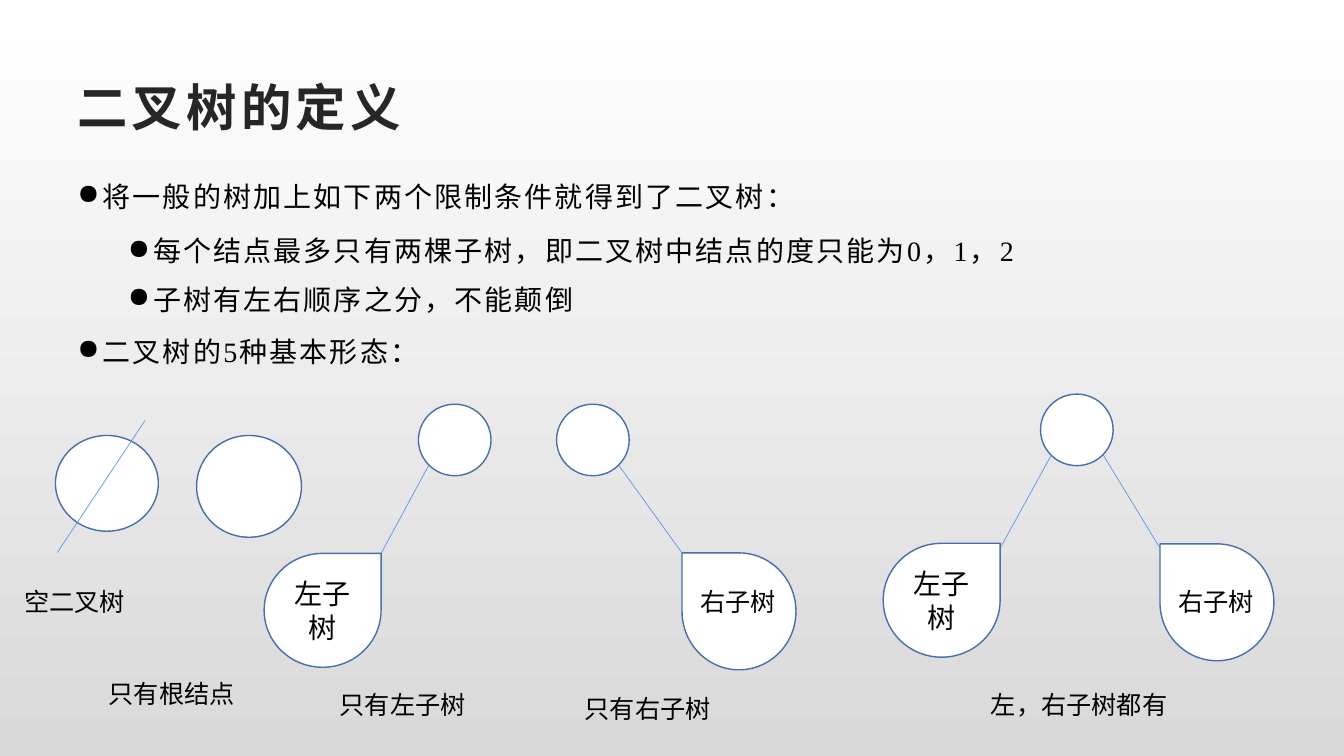
from lxml.etree import SubElement
from pptx import Presentation
from pptx.dml.color import RGBColor
from pptx.enum.shapes import MSO_CONNECTOR as Connector, MSO_SHAPE as Preset
from pptx.enum.text import MSO_ANCHOR as Anchor, MSO_AUTO_SIZE as AutoSize, PP_ALIGN as Align
from pptx.oxml.ns import qn
from pptx.util import Inches, Pt

NODE_SIZE = (0.72, 0.71)
SUBTREE_SIZE = (1.16, 1.13)


def color(code):
    return RGBColor.from_string(code)


def add_text(para, text, size=18, font="Noto Sans CJK SC", ink="000000", bold=False, spacing=0):
    """Add a span; spacing is the gap between letters in points."""
    span = para.add_run()
    span.text = text
    span.font.size = Pt(size)
    span.font.bold = bold
    span.font.color.rgb = color(ink)
    span.font.name = font
    properties = span.font._element
    SubElement(properties, qn("a:ea")).set("typeface", "Noto Sans CJK SC")
    if spacing:
        properties.set("spc", str(int(spacing * 100)))


class TreeSlide:
    fill = "FFFFFF"
    outline = "476FAA"
    edge_color = "6096E6"

    def __init__(self, deck):
        self.page = deck.slides.add_slide(deck.slide_layouts[6])

    def background(self, top, bottom):
        fill = self.page.background.fill
        fill.gradient()
        fill.gradient_angle = 270
        for stop, code, position in zip(fill.gradient_stops, (top, bottom), (0, 1)):
            stop.color.rgb = color(code)
            stop.position = position

    def text_frame(self, left, top, width, height):
        box = self.page.shapes.add_textbox(*map(Inches, (left, top, width, height)))
        box.text_frame.word_wrap = True
        return box.text_frame

    def title(self, text):
        frame = self.text_frame(0.67, 0.67, 12, 0.77)
        frame.vertical_anchor = Anchor.MIDDLE
        add_text(frame.paragraphs[0], text, size=36, ink="262626", bold=True, spacing=3)

    def bullets(self, items):
        """Add (level, text) items as a bulleted list."""
        frame = self.text_frame(0.67, 1.63, 12, 5.2)
        for index, (level, text) in enumerate(items):
            para = frame.add_paragraph() if index else frame.paragraphs[0]
            para.level = level
            para.line_spacing = 1.2 if level else 1.3
            para.space_after = Pt(6 if level else 10)
            properties = para._p.get_or_add_pPr()
            properties.set("marL", str(Inches(0.25 + 0.5 * level)))
            properties.set("indent", str(Inches(-0.25)))
            SubElement(properties, qn("a:buChar")).set("char", "●")
            add_text(para, text, size=20, font="Times New Roman", spacing=1.5)

    def caption(self, text, left, top, width):
        frame = self.text_frame(left, top, width, 0.4)
        frame.word_wrap = False
        frame.auto_size = AutoSize.SHAPE_TO_FIT_TEXT
        add_text(frame.paragraphs[0], text)

    def shape(self, preset, left, top, size):
        shape = self.page.shapes.add_shape(preset, *map(Inches, (left, top, *size)))
        shape.shadow.inherit = False
        shape.fill.solid()
        shape.fill.fore_color.rgb = color(self.fill)
        shape.line.color.rgb = color(self.outline)
        shape.line.width = Pt(1)
        return shape

    def node(self, left, top, size=NODE_SIZE):
        self.shape(Preset.OVAL, left, top, size)

    def edge(self, start, end):
        line = self.page.shapes.add_connector(Connector.STRAIGHT, *map(Inches, (*start, *end)))
        line.line.color.rgb = color(self.edge_color)
        line.line.width = Pt(0.5)
        SubElement(line._element.spPr, qn("a:effectLst"))

    def left_subtree(self, left, top):
        frame = self.shape(Preset.TEAR, left, top, SUBTREE_SIZE).text_frame
        frame.word_wrap = True
        frame.vertical_anchor = Anchor.MIDDLE
        para = frame.paragraphs[0]
        para.alignment = Align.CENTER
        add_text(para, "左子树", size=20)

    def right_subtree(self, left, top):
        self.shape(Preset.TEAR, left, top, SUBTREE_SIZE).rotation = 270
        self.caption("右子树", left + 0.1, 5.77, 0.95)


def main():
    deck = Presentation()
    deck.slide_width, deck.slide_height = Inches(13.33), Inches(7.5)
    slide = TreeSlide(deck)
    slide.background("FFFFFF", "D9D9D9")
    slide.title("二叉树的定义")
    slide.bullets([
        (0, "将一般的树加上如下两个限制条件就得到了二叉树："),
        (1, "每个结点最多只有两棵子树，即二叉树中结点的度只能为0，1，2"),
        (1, "子树有左右顺序之分，不能颠倒"),
        (0, "二叉树的5种基本形态："),
    ])

    # Empty tree and single root
    slide.node(0.55, 4.32, (1.02, 0.95))
    slide.edge((1.44, 4.17), (0.57, 5.48))
    slide.node(1.95, 4.32, (1.04, 1.01))

    # Left subtree only
    slide.node(4.15, 4.01)
    slide.edge((4.25, 4.62), (3.78, 5.49))
    slide.left_subtree(2.62, 5.49)

    # Right subtree only
    slide.node(5.52, 4.01)
    slide.edge((6.14, 4.62), (6.76, 5.48))
    slide.right_subtree(6.75, 5.5)

    # Both subtrees
    slide.node(10.32, 3.91)
    slide.edge((10.43, 4.51), (9.93, 5.42))
    slide.edge((10.94, 4.51), (11.5, 5.43))
    slide.left_subtree(8.76, 5.39)
    slide.right_subtree(11.49, 5.41)

    for text, left, top, width in [
        ("空二叉树", 0.14, 5.77, 1.3),
        ("只有根结点", 0.98, 6.68, 1.51),
        ("只有左子树", 3.27, 6.79, 1.51),
        ("只有右子树", 5.7, 6.83, 1.51),
        ("左，右子树都有", 9.73, 6.79, 2.02),
    ]:
        slide.caption(text, left, top, width)
    deck.save("out.pptx")


if __name__ == "__main__":
    main()
